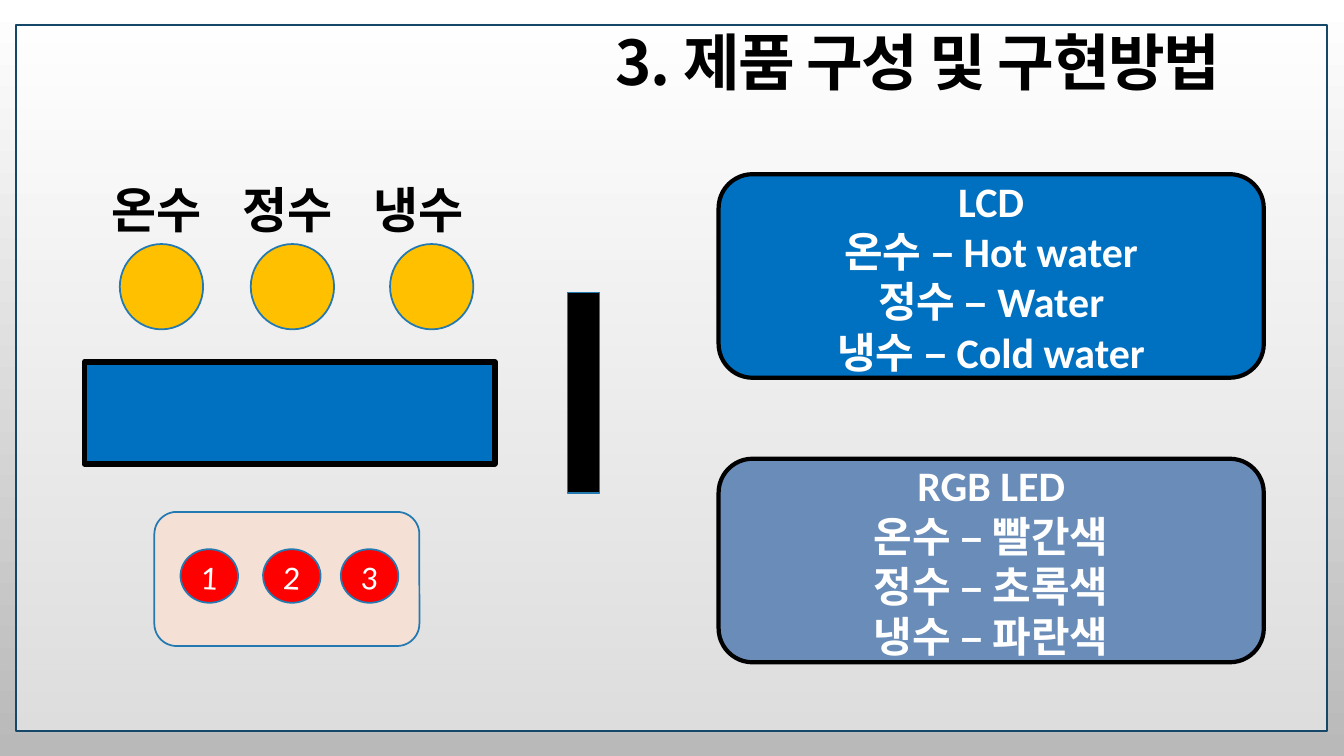
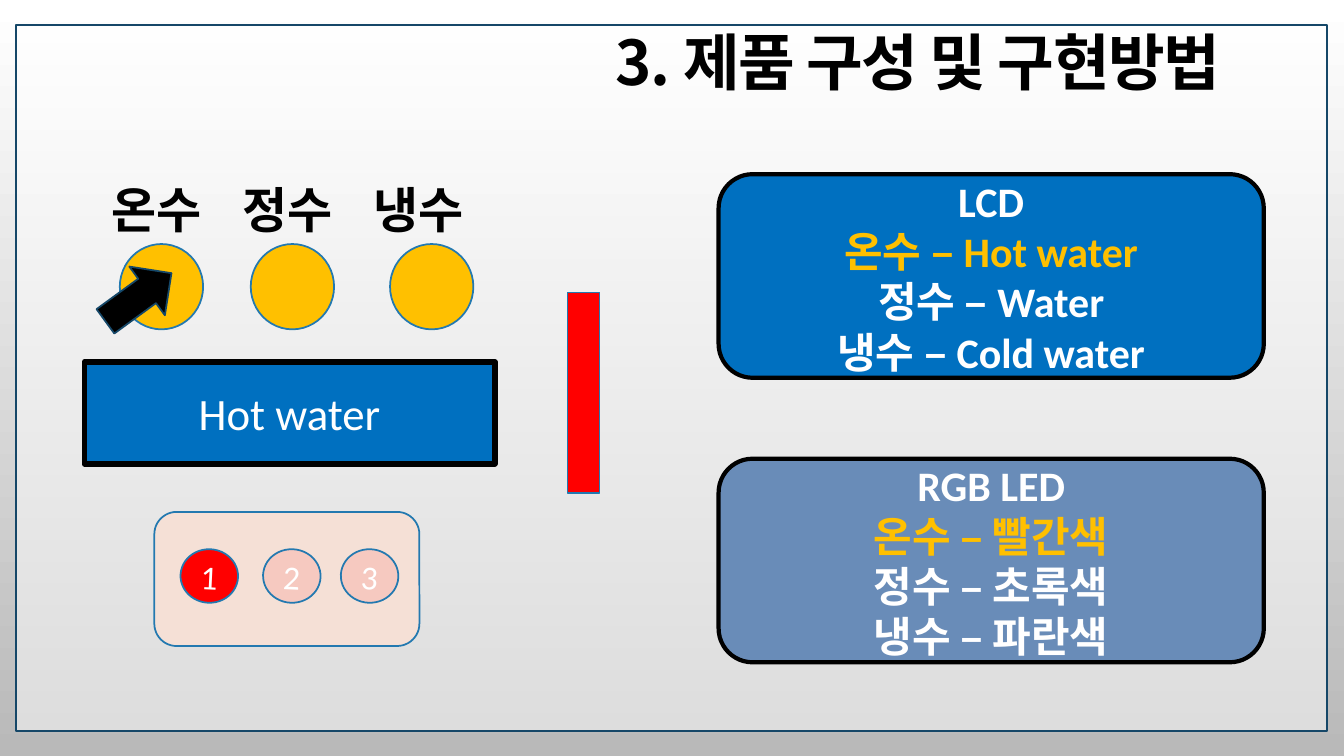
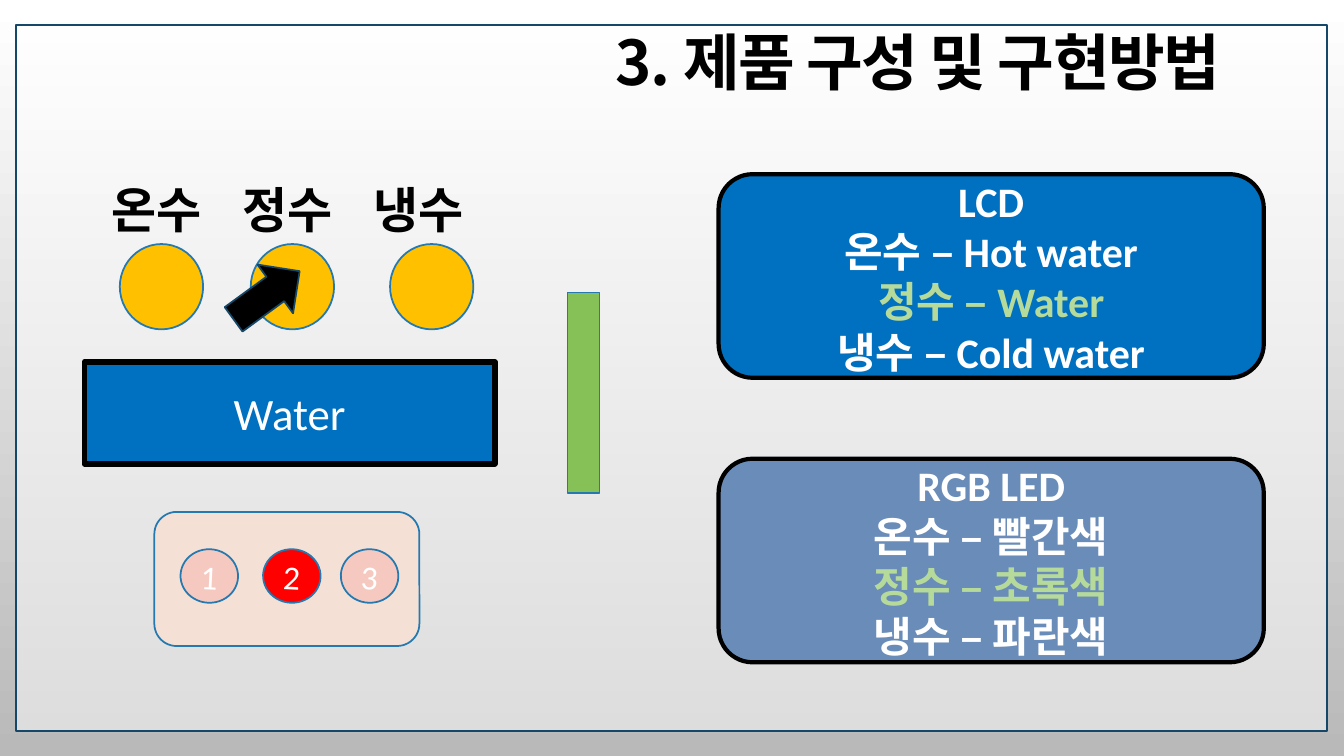
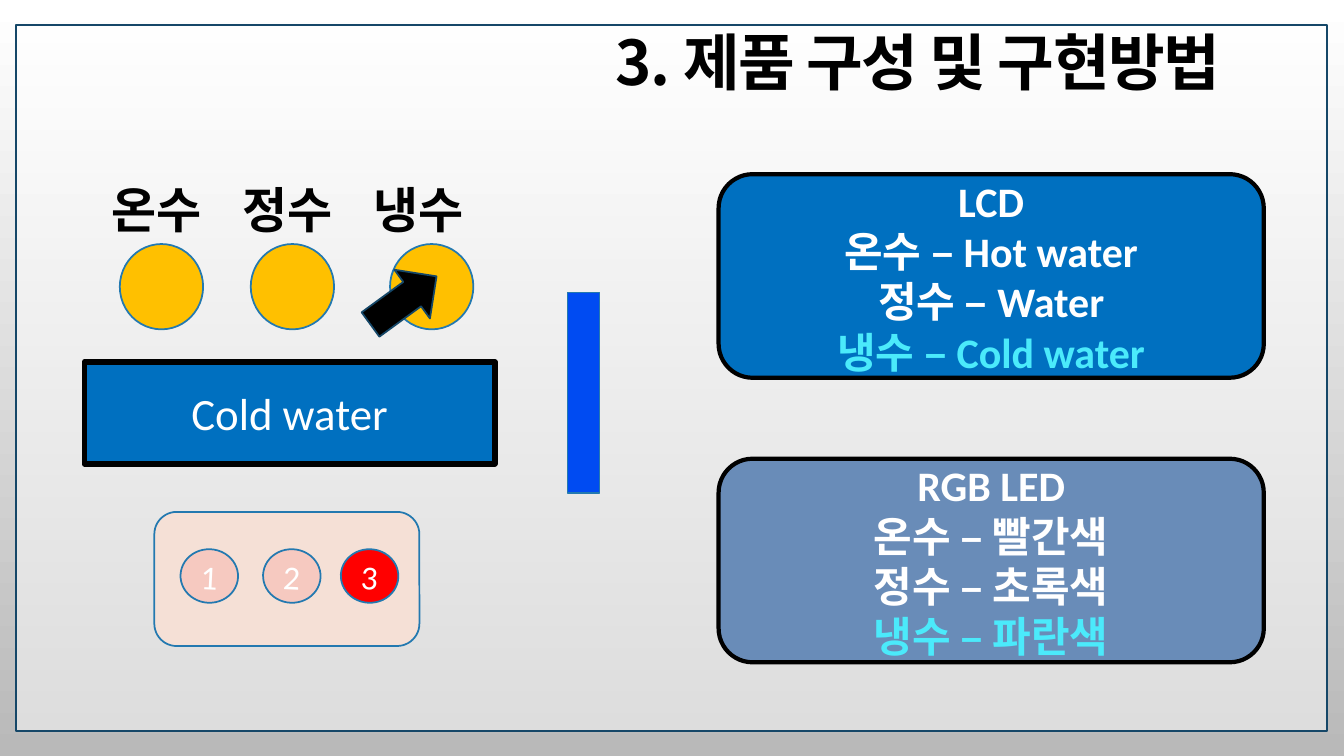
from lxml.etree import SubElement as Sub
from pptx import Presentation
from pptx.dml.color import RGBColor as Rgb
from pptx.enum.shapes import MSO_SHAPE as Kind
from pptx.enum.text import MSO_ANCHOR as Anchor, PP_ALIGN as Align
from pptx.oxml.ns import qn
from pptx.util import Cm, Pt

INK = {
    "white": "FFFFFF", "black": "000000", "gray": "B9B9B9",
    "navy": "154768", "edge": "2379B0", "blue": "0070C0",
    "slate": "698CB8", "peach": "F5E0D6", "red": "FF0000",
    "gold": "FFC000", "green": "86C157", "lime": "B6DA9A",
    "cobalt": "004BF2", "cyan": "4BEAFB",
}
LATIN, HANGUL = "Calibri", "Noto Sans CJK KR"

TITLE = "3. 제품 구성 및 구현방법"
WATERS = ["온수", "정수", "냉수"]
NAMES = ["Hot water", "Water", "Cold water"]
LIGHTS = ["빨간색", "초록색", "파란색"]
# left edges of the three buttons and of the three number keys
BUTTONS = [3.02, 6.32, 9.83]
KEYS = [4.55, 6.63, 8.59]
# chosen water, bar colour, mark colour, place of the arrow
STATES = [
    (None, "black", "white", None),
    (0, "red", "gold", (2.46, 6.73)),
    (1, "green", "lime", (5.69, 6.68)),
    (2, "cobalt", "cyan", (9.14, 6.81)),
]


def rgb(name):
    return Rgb.from_string(INK[name])


def write(frame, lines, size=24, ink="white", bold=False, font=LATIN,
          align=Align.CENTER, anchor=Anchor.MIDDLE, mark=None, tint=None,
          tabs=(), track=0, lead=None):
    """Fill a text frame; line number `mark` takes the colour `tint`."""
    frame.word_wrap = True
    frame.vertical_anchor = anchor
    for i, line in enumerate(lines):
        para = frame.paragraphs[0] if i == 0 else frame.add_paragraph()
        para.alignment = align
        if lead:
            para.line_spacing = lead
        if tabs:
            stops = Sub(para._p.get_or_add_pPr(), qn("a:tabLst"))
            for stop in tabs:
                Sub(stops, qn("a:tab"), pos=str(Cm(stop)), algn="l")
        run = para.add_run()
        run.text = line
        face = run.font
        face.size, face.bold, face.name = Pt(size), bold, font
        face.color.rgb = rgb(tint if i == mark else ink)
        props = run._r.get_or_add_rPr()
        Sub(props, qn("a:ea"), typeface=HANGUL)
        if track:
            props.set("spc", str(track * 100))


class Deck:
    def __init__(self):
        self.prs = Presentation()
        self.prs.slide_width, self.prs.slide_height = Cm(33.87), Cm(19.05)
        self.slide = None
        fill = self.prs.slide_master.background.fill
        fill.gradient()
        fill.gradient_angle = 270
        for stop, ink, pos in zip(fill.gradient_stops, ("white", "gray"), (0, 1)):
            stop.color.rgb = rgb(ink)
            stop.position = pos

    def shape(self, kind, box, fill, line="edge", width=1.25, alpha=None, turn=0):
        item = self.slide.shapes.add_shape(kind, *map(Cm, box))
        item.shadow.inherit = False
        item.rotation = turn
        item.fill.solid()
        item.fill.fore_color.rgb = rgb(fill)
        if alpha is not None:
            tone = item.fill._xPr.find(".//" + qn("a:srgbClr"))
            Sub(tone, qn("a:alpha"), val=str(alpha * 1000))
        item.line.color.rgb = rgb(line)
        item.line.width = Pt(width)
        return item

    def text(self, box, lines, **style):
        item = self.slide.shapes.add_textbox(*map(Cm, box))
        write(item.text_frame, lines, **style)

    def page(self):
        """Start a slide with its frame and title."""
        self.slide = self.prs.slides.add_slide(self.prs.slide_layouts[6])
        self.shape(Kind.RECTANGLE, (0.4, 0.64, 33.05, 17.78), "white",
                   line="navy", alpha=50)
        self.text((13.14, 0.64, 20, 2.05), [TITLE], size=44, ink="black",
                  bold=True, font=HANGUL, track=-1, lead=0.9)

    def device(self, pick, bar):
        """Draw the dispenser: screen, light bar, keys and buttons."""
        screen = self.shape(Kind.RECTANGLE, (2.13, 9.12, 10.34, 2.57), "blue",
                            line="black", width=4)
        if pick is not None:
            write(screen.text_frame, [NAMES[pick]], size=32)
        self.shape(Kind.RECTANGLE, (14.3, 7.37, 0.81, 5.05), bar)
        self.shape(Kind.ROUNDED_RECTANGLE, (3.89, 12.9, 6.68, 3.38), "peach")
        for i, left in enumerate(KEYS):
            key = self.shape(Kind.OVAL, (left, 13.84, 1.45, 1.35), "red", turn=2.8,
                             alpha=None if pick in (None, i) else 10)
            write(key.text_frame, [str(i + 1)])
        for left in BUTTONS:
            self.shape(Kind.OVAL, (left, 6.15, 2.1, 2.15), "gold")
        self.text((2.57, 4.39, 11.3, 1.75), ["\t".join(WATERS)], size=35,
                  ink="black", bold=True, align=Align.LEFT, anchor=Anchor.TOP,
                  tabs=(3.3, 6.6))

    def card(self, top, fill, head, values, pick, tint):
        item = self.shape(Kind.ROUNDED_RECTANGLE, (18.11, top, 13.74, 5.13), fill,
                          line="black", width=3)
        rows = [f"{water} – {value}" for water, value in zip(WATERS, values)]
        write(item.text_frame, [head] + rows, size=30, bold=True, tint=tint,
              mark=None if pick is None else pick + 1)

    def arrow(self, left, top):
        self.shape(Kind.RIGHT_ARROW, (left, top, 2.06, 1.52), "black",
                   line="navy", turn=323.9)


def main():
    deck = Deck()
    for pick, bar, tint, spot in STATES:
        deck.page()
        deck.device(pick, bar)
        deck.card(4.39, "blue", "LCD", NAMES, pick, tint)
        deck.card(11.56, "slate", "RGB LED", LIGHTS, pick, tint)
        if spot:
            deck.arrow(*spot)
    deck.prs.save("out.pptx")


if __name__ == "__main__":
    main()
